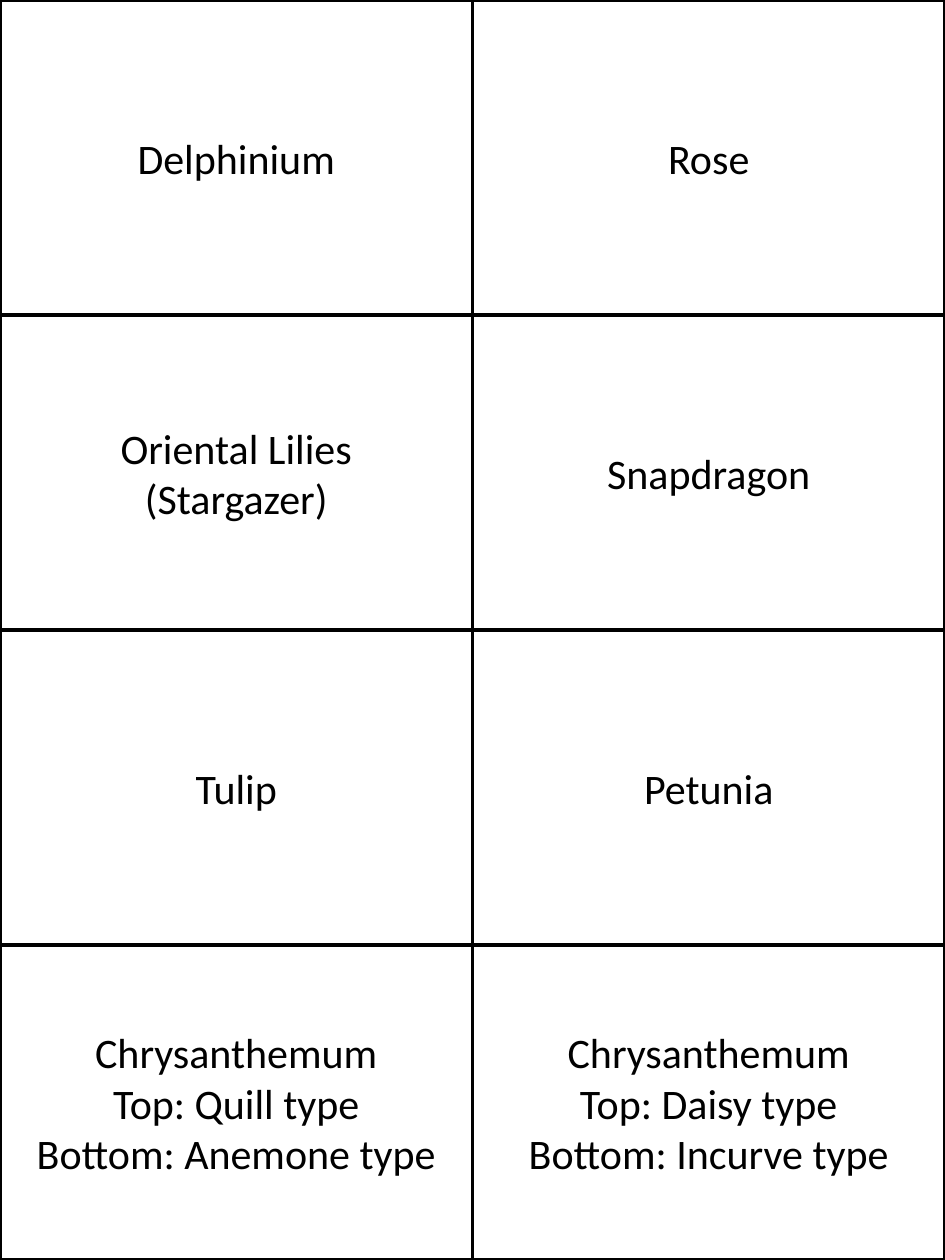
"""Build a sheet of flower name cards in two columns of four."""
from dataclasses import dataclass

from pptx import Presentation
from pptx.dml.color import RGBColor
from pptx.enum.shapes import MSO_SHAPE
from pptx.enum.text import MSO_ANCHOR, PP_ALIGN
from pptx.util import Inches, Pt

RECTANGLE = MSO_SHAPE.RECTANGLE
MIDDLE = MSO_ANCHOR.MIDDLE
CENTER = PP_ALIGN.CENTER

FLOWER_COLUMNS = [
    [
        ["Delphinium"],
        ["Oriental Lilies", "(Stargazer)"],
        ["Tulip"],
        ["Chrysanthemum", "Top: Quill type", "Bottom: Anemone type"],
    ],
    [
        ["Rose"],
        ["Snapdragon"],
        ["Petunia"],
        ["Chrysanthemum", "Top: Daisy type", "Bottom: Incurve type"],
    ],
]


@dataclass(frozen=True)
class Theme:
    font: str = "Calibri"
    size: Pt = Pt(24)
    ink: RGBColor = RGBColor(0, 0, 0)
    paper: RGBColor = RGBColor(255, 255, 255)
    border: Pt = Pt(2)


THEME = Theme()


def write_lines(frame, lines, *, size=THEME.size, color=THEME.ink, align=CENTER):
    frame.word_wrap = True
    frame.vertical_anchor = MIDDLE
    for index, line in enumerate(lines):
        paragraph = frame.paragraphs[0] if index == 0 else frame.add_paragraph()
        paragraph.alignment = align
        run = paragraph.add_run()
        run.text = line
        run.font.name = THEME.font
        run.font.size = size
        run.font.color.rgb = color


def add_card(slide, lines, left, top, width, height):
    card = slide.shapes.add_shape(RECTANGLE, left, top, width, height)
    card.shadow.inherit = False
    card.fill.solid()
    card.fill.fore_color.rgb = THEME.paper
    card.line.color.rgb = THEME.ink
    card.line.width = THEME.border
    write_lines(card.text_frame, lines)


def main():
    deck = Presentation()
    deck.slide_width, deck.slide_height = Inches(7.5), Inches(10)
    slide = deck.slides.add_slide(deck.slide_layouts.get_by_name("Blank"))
    card_width = deck.slide_width // len(FLOWER_COLUMNS)
    card_height = deck.slide_height // len(FLOWER_COLUMNS[0])
    for column, flowers in enumerate(FLOWER_COLUMNS):
        for row, lines in enumerate(flowers):
            add_card(slide, lines, column * card_width, row * card_height,
                     card_width, card_height)
    deck.save("out.pptx")


if __name__ == "__main__":
    main()
